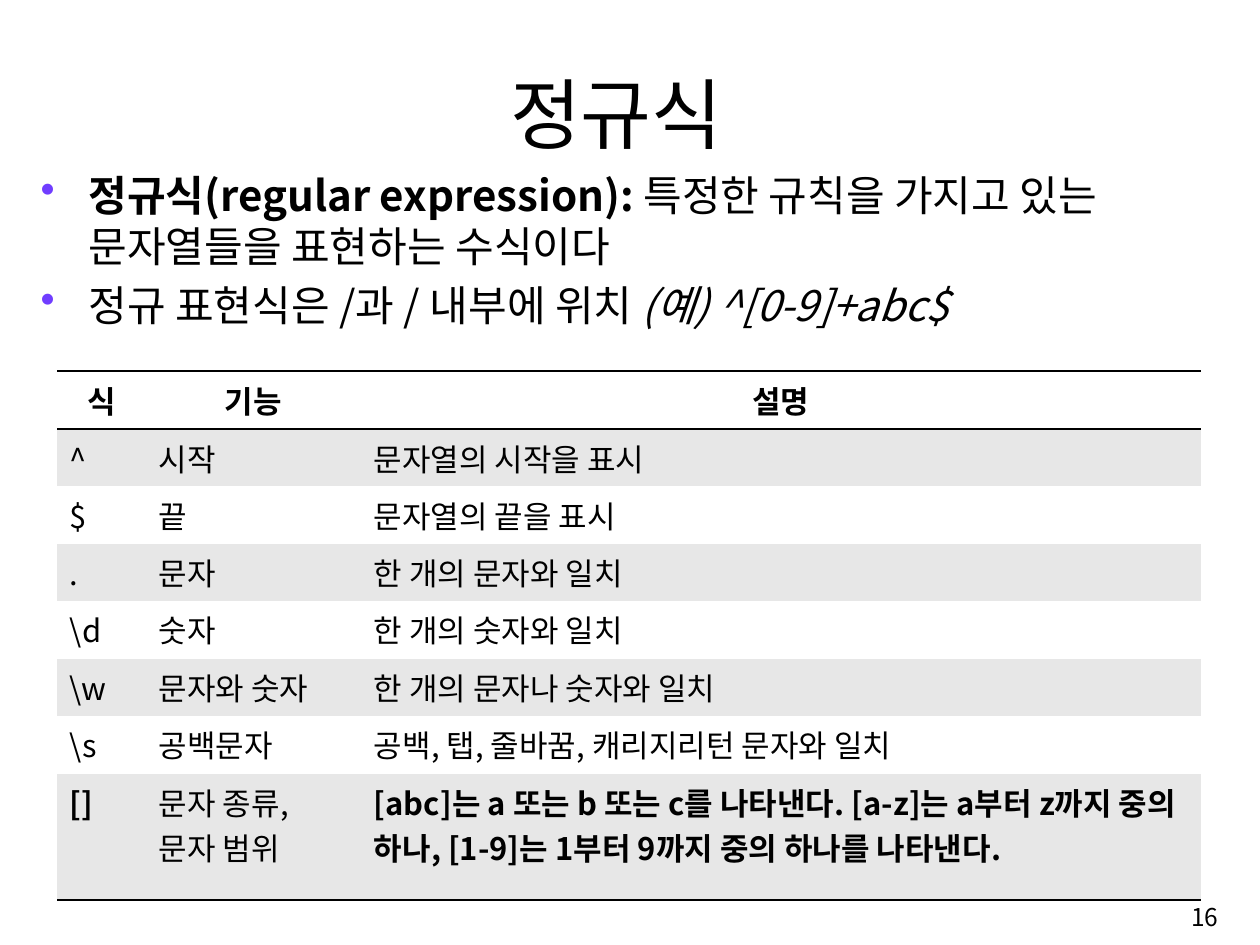
from dataclasses import dataclass

from lxml.etree import SubElement as Sub
from pptx import Presentation
from pptx.dml.color import RGBColor as RGB
from pptx.enum.text import MSO_ANCHOR as Anchor, PP_ALIGN as Align
from pptx.oxml import parse_xml
from pptx.oxml.ns import nsdecls, qn
from pptx.util import Pt


@dataclass(frozen=True)
class Theme:
    face: str = "Noto Sans CJK KR"
    ink: str = "000000"
    paper: str = "FFFFFF"
    band: str = "E7E7E7"
    dot: str = "703DFF"
    title: float = 57.2
    body: float = 31.2
    cell: float = 23
    page: float = 18.2
    rule: float = 2
    plain: str = "{2D5ABB26-0587-4C30-8999-92F81FD0307C}"


class Deck:
    """Draws styled elements on one slide, with lengths in px."""

    def __init__(self, theme, wide, high):
        self.theme = theme
        self.file = Presentation()
        self.file.slide_width = self.emu(wide)
        self.file.slide_height = self.emu(high)
        self.slide = self.file.slides.add_slide(self.file.slide_layouts[6])

    def emu(self, px):
        return round(px * 914400 / 97)

    def style(self, para, size, bold=None, align=Align.LEFT):
        para.alignment = align
        font = para.font
        font.name, font.size, font.bold = self.theme.face, Pt(size), bold
        font.color.rgb = RGB.from_string(self.theme.ink)
        east = parse_xml(f'<a:ea {nsdecls("a")} typeface="{self.theme.face}"/>')
        para._p.pPr.find(qn("a:defRPr")).find(qn("a:latin")).addnext(east)

    def frame(self, box, anchor=Anchor.TOP):
        frame = self.slide.shapes.add_textbox(*map(self.emu, box)).text_frame
        frame.word_wrap = True
        frame.vertical_anchor = anchor
        return frame

    def label(self, box, text, size, align, anchor):
        para = self.frame(box, anchor).paragraphs[0]
        para.text = text
        self.style(para, size, align=align)

    def bullets(self, box, items, hang):
        frame = self.frame(box)
        for num, runs in enumerate(items):
            para = frame.add_paragraph() if num else frame.paragraphs[0]
            self.style(para, self.theme.body)
            para.space_before = Pt(self.theme.body * 0.2 if num else 0)
            for text, bold, slant in runs:
                run = para.add_run()
                run.text = text
                run.font.bold, run.font.italic = bold, slant
            props = para._p.pPr
            props.set("marL", str(self.emu(hang)))
            props.set("indent", str(-self.emu(hang)))
            mark = parse_xml(f'<a:buClr {nsdecls("a")}><a:srgbClr val="{self.theme.dot}"/></a:buClr>')
            char = parse_xml(f'<a:buChar {nsdecls("a")} char="•"/>')
            base = props.find(qn("a:defRPr"))
            base.addprevious(mark)
            base.addprevious(char)

    def edge(self, cell, side):
        line = parse_xml(f'<a:ln{side} {nsdecls("a")} w="{Pt(self.theme.rule)}"/>')
        fill = Sub(line, qn("a:solidFill"))
        Sub(fill, qn("a:srgbClr"), val=self.theme.ink)
        cell._tc.tcPr.insert(0, line)

    def table(self, left, top, cols, highs, rows, strong):
        box = map(self.emu, (left, top, sum(cols), sum(highs)))
        grid = self.slide.shapes.add_table(len(rows), len(cols), *box).table
        grid.first_row = grid.horz_banding = False
        grid._tbl.tblPr.find(qn("a:tableStyleId")).text = self.theme.plain
        for col, wide in zip(grid.columns, cols):
            col.width = self.emu(wide)
        edges = {0: "BT", len(rows) - 1: "B"}
        for r, words in enumerate(rows):
            grid.rows[r].height = self.emu(highs[r])
            for c, word in enumerate(words):
                cell = grid.cell(r, c)
                cell.margin_left = cell.margin_right = self.emu(13)
                cell.margin_top = cell.margin_bottom = self.emu(6)
                cell.fill.solid()
                tint = self.theme.band if r % 2 else self.theme.paper
                cell.fill.fore_color.rgb = RGB.from_string(tint)
                para = cell.text_frame.paragraphs[0]
                para.text = word
                align = Align.LEFT if r else Align.CENTER
                self.style(para, self.theme.cell, (r, c) in strong, align)
                for side in edges.get(r, ""):
                    self.edge(cell, side)


def main():
    theme = Theme()
    deck = Deck(theme, 1260, 945)
    deck.label((102, 59, 1029, 105), "정규식", theme.title, Align.CENTER, Anchor.BOTTOM)
    deck.bullets((31, 165, 1195, 685), [
        [("정규식(regular expression): ", True, False),
         ("특정한 규칙을 가지고 있는 문자열들을 표현하는 수식이다", False, False)],
        [("정규 표현식은 /과 / 내부에 위치 ", False, False),
         ("(예) ^[0-9]+abc$", False, True)],
    ], 48)
    rows = [
        ("식", "기능", "설명"),
        ("^", "시작", "문자열의 시작을 표시"),
        ("$", "끝", "문자열의 끝을 표시"),
        (".", "문자", "한 개의 문자와 일치"),
        (r"\d", "숫자", "한 개의 숫자와 일치"),
        (r"\w", "문자와 숫자", "한 개의 문자나 숫자와 일치"),
        (r"\s", "공백문자", "공백, 탭, 줄바꿈, 캐리지리턴 문자와 일치"),
        ("[]", "문자 종류, 문자 범위",
         "[abc]는 a 또는 b 또는 c를 나타낸다. [a-z]는 a부터 z까지 중의 하나, "
         "[1-9]는 1부터 9까지 중의 하나를 나타낸다."),
    ]
    highs = [58 - r % 2 for r in range(7)] + [126]
    strong = {(0, 0), (0, 1), (0, 2), (7, 0), (7, 2)}
    deck.table(57, 371, (89, 215, 840), highs, rows, strong)
    deck.label((968, 888, 260, 58), "16", theme.page, Align.RIGHT, Anchor.MIDDLE)
    deck.file.save("out.pptx")


if __name__ == "__main__":
    main()
